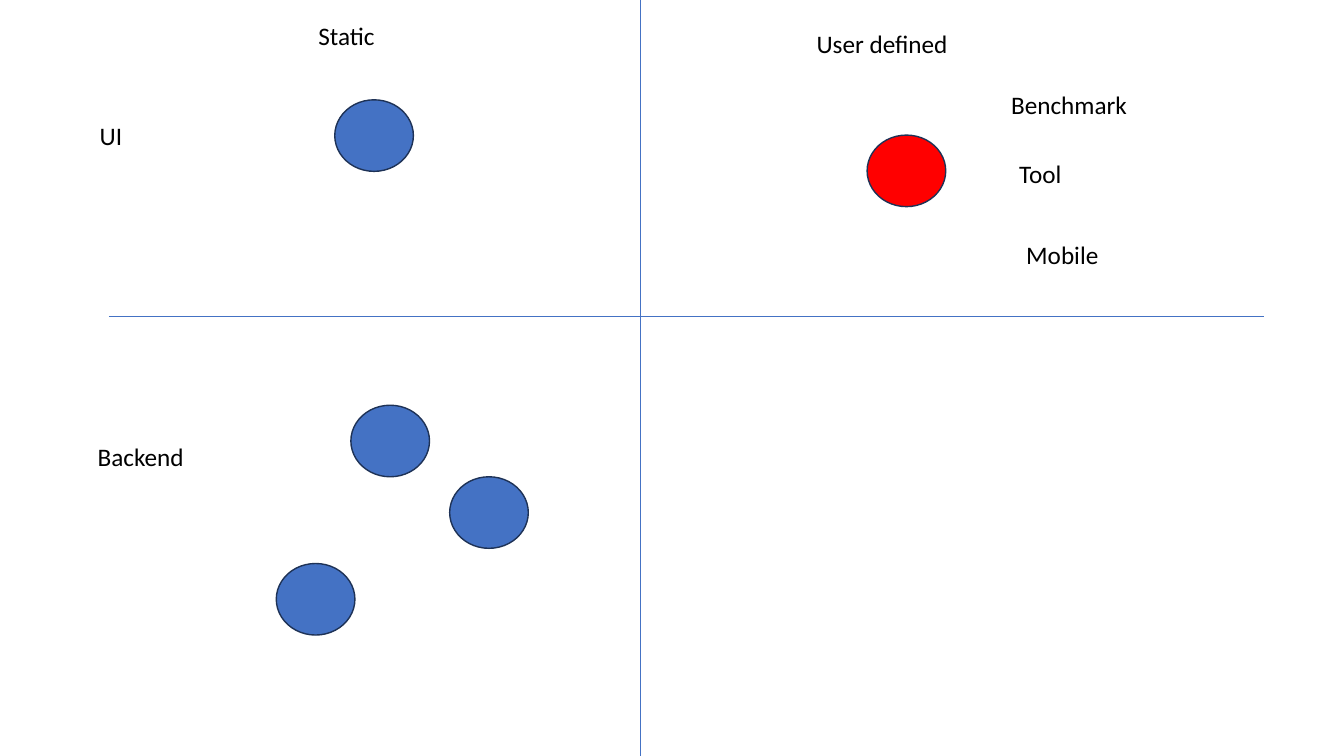
from dataclasses import dataclass

from lxml.etree import SubElement
from pptx import Presentation
from pptx.dml.color import RGBColor
from pptx.enum.shapes import MSO_CONNECTOR, MSO_SHAPE
from pptx.enum.text import MSO_AUTO_SIZE
from pptx.oxml.ns import qn
from pptx.slide import Slide
from pptx.util import Emu, Pt

EMU_PER_PX = 9144
SLIDE_WIDTH, SLIDE_HEIGHT = 1333, 750
DOT_WIDTH, DOT_HEIGHT = 78, 71
LABEL_HEIGHT = 40


@dataclass(frozen=True)
class Theme:
    font: str = "Calibri"
    label_size: float = 18
    text: str = "000000"
    blue: str = "4472C4"
    red: str = "FF0000"
    outline: str = "1E3256"
    outline_width: float = 1
    axis_width: float = 0.5


THEME = Theme()


@dataclass(frozen=True)
class Axis:
    start_x: int
    start_y: int
    end_x: int
    end_y: int


@dataclass(frozen=True)
class Label:
    text: str
    left: int
    top: int
    width: int


@dataclass(frozen=True)
class Dot:
    left: int
    top: int
    color: str = THEME.blue


HORIZONTAL_AXIS = Axis(108, 314, 1254, 314)
VERTICAL_AXIS = Axis(635, 0, 635, 785)

QUADRANT_LABELS = [
    Label("UI", 89, 114, 43),
    Label("Backend", 87, 433, 107),
    Label("Static", 306, 15, 77),
    Label("User defined", 800, 23, 152),
]
DOTS = [
    Dot(332, 99),
    Dot(348, 402),
    Dot(274, 559),
    Dot(446, 473),
    Dot(860, 134, THEME.red),
]
USER_DEFINED_ITEMS = [
    Label("Benchmark", 993, 84, 142),
    Label("Tool", 1001, 152, 63),
    Label("Mobile", 1008, 233, 93),
]


def px(length: int) -> Emu:
    return Emu(length * EMU_PER_PX)


def add_text(slide: Slide, text: str, *, left: int, top: int, width: int,
             height: int = LABEL_HEIGHT, size: float = THEME.label_size,
             color: str = THEME.text) -> None:
    box = slide.shapes.add_textbox(px(left), px(top), px(width), px(height))
    frame = box.text_frame
    frame.word_wrap = False
    frame.auto_size = MSO_AUTO_SIZE.SHAPE_TO_FIT_TEXT
    run = frame.paragraphs[0].add_run()
    run.text = text
    run.font.name = THEME.font
    run.font.size = Pt(size)
    run.font.color.rgb = RGBColor.from_string(color)


def add_label(slide: Slide, label: Label) -> None:
    add_text(slide, label.text, left=label.left, top=label.top, width=label.width)


def add_axis(slide: Slide, axis: Axis) -> None:
    connector = slide.shapes.add_connector(
        MSO_CONNECTOR.STRAIGHT, px(axis.start_x), px(axis.start_y),
        px(axis.end_x), px(axis.end_y))
    connector.line.color.rgb = RGBColor.from_string(THEME.blue)
    connector.line.width = Pt(THEME.axis_width)
    SubElement(connector._element.spPr, qn("a:effectLst"))


def add_dot(slide: Slide, dot: Dot) -> None:
    shape = slide.shapes.add_shape(
        MSO_SHAPE.OVAL, px(dot.left), px(dot.top), px(DOT_WIDTH), px(DOT_HEIGHT))
    shape.shadow.inherit = False
    shape.fill.solid()
    shape.fill.fore_color.rgb = RGBColor.from_string(dot.color)
    shape.line.color.rgb = RGBColor.from_string(THEME.outline)
    shape.line.width = Pt(THEME.outline_width)


def main() -> None:
    presentation = Presentation()
    presentation.slide_width = px(SLIDE_WIDTH)
    presentation.slide_height = px(SLIDE_HEIGHT)
    slide = presentation.slides.add_slide(presentation.slide_layouts[6])
    add_axis(slide, HORIZONTAL_AXIS)
    for label in QUADRANT_LABELS:
        add_label(slide, label)
    add_axis(slide, VERTICAL_AXIS)
    for dot in DOTS:
        add_dot(slide, dot)
    for label in USER_DEFINED_ITEMS:
        add_label(slide, label)
    presentation.save("out.pptx")


if __name__ == "__main__":
    main()
